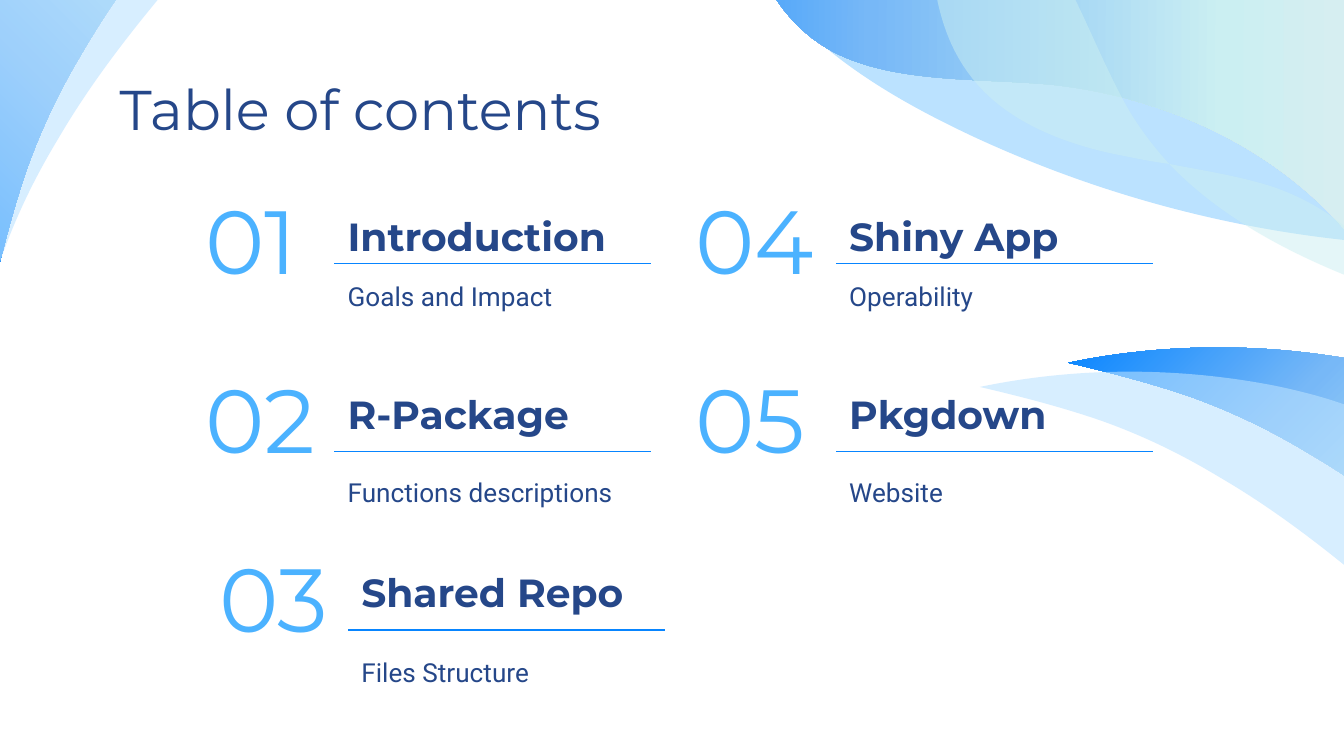
from dataclasses import dataclass
from math import cos, radians, sin

from lxml.etree import SubElement
from pptx import Presentation
from pptx.dml.color import RGBColor
from pptx.enum.shapes import MSO_CONNECTOR
from pptx.enum.text import MSO_ANCHOR
from pptx.oxml.ns import qn
from pptx.shapes.autoshape import Shape
from pptx.slide import Slide
from pptx.util import Cm, Pt

NAVY, SKY, BLUE = "254789", "4BB2FF", "0885FF"
PALE, MINT = "BBE2FF", "CBEFF2"
GRADIENT = ((0, "E5ECEF"), (28, MINT), (66, "77B8F7"), (100, BLUE))
CM_PER_INCH = 2.54


@dataclass(frozen=True)
class Style:
    font: str
    size: int
    color: str
    bold: bool = False


@dataclass(frozen=True)
class Row:
    top: float
    heading_height: float
    number_height: float
    line_top: float
    detail_top: float
    detail_height: float


@dataclass(frozen=True)
class Column:
    number_left: float
    text_left: float
    number_width: float


@dataclass(frozen=True)
class Entry:
    number: str
    heading: str
    detail: str
    column: Column
    row: Row


@dataclass(frozen=True)
class Wave:
    outline: str
    rotation: float = 0
    color: str = ""
    opacity: int = 100
    gradient_angle: int = 225
    turned: float = 0
    shift: tuple[float, float] = (0, 0)


TITLE = Style("Montserrat", 30, NAVY)
NUMBER = Style("Montserrat", 48, SKY)
HEADING = Style("Montserrat", 21, NAVY, True)
DETAIL = Style("Roboto", 14, NAVY)

LEFT, RIGHT = Column(3.63, 6.32, 2.72), Column(12.9, 15.8, 2.9)
INDENTED = Column(3.89, 6.58, 2.72)
FIRST = Row(3.94, 1.02, 1.14, 4.98, 5.13, 0.94)
SECOND = Row(7.14, 1.35, 1.52, 8.53, 8.69, 1.24)
THIRD = Row(10.52, 1.35, 1.52, 11.91, 12.09, 1.24)
TEXT_WIDTH = 5.99

ENTRIES = (
    Entry("01", "Introduction", "Goals and Impact", LEFT, FIRST),
    Entry("04", "Shiny App", "Operability", RIGHT, FIRST),
    Entry("02", "R-Package", "Functions descriptions", LEFT, SECOND),
    Entry("05", "Pkgdown", "Website", RIGHT, SECOND),
    Entry("03", "Shared Repo", "Files Structure", INDENTED, THIRD),
)

CORNER = (
    "M 1.41 -1.7 C 1.29 -1.7 1.17 -1.68 1.06 -1.65 C 0.74 -1.54 0.47 -1.29 0.29 -1 "
    "C 0.11 -0.71 0.01 -0.37 -0.06 -0.03 C -0.2 0.69 -0.2 1.44 -0.05 2.16 "
    "C 0.02 1.86 0.1 1.55 0.2 1.26 C 0.31 0.95 0.45 0.66 0.62 0.38 "
    "C 0.91 -0.12 1.28 -0.57 1.66 -1.01 C 1.79 -1.16 2.14 -1.43 1.86 -1.59 "
    "C 1.73 -1.67 1.57 -1.7 1.41 -1.7"
)
SWEEP = (
    "M 5.23 -1.85 C 5.19 -1.67 5.17 -1.48 5.19 -1.3 C 5.23 -0.76 5.52 -0.25 5.9 0.13 "
    "C 6.28 0.52 6.76 0.79 7.25 1.02 C 8.31 1.51 9.46 1.79 10.63 1.83 "
    "C 10.19 1.6 9.75 1.37 9.33 1.1 C 8.9 0.82 8.51 0.49 8.14 0.14 "
    "C 7.48 -0.5 6.92 -1.23 6.39 -1.97 C 6.2 -2.23 5.92 -2.88 5.56 -2.5 "
    "C 5.4 -2.33 5.29 -2.1 5.23 -1.85"
)
CREST = (
    "M 5.38 -3.26 C 5.5 -2.94 5.53 -2.58 5.52 -2.21 C 5.52 -1.73 5.45 -1.23 5.51 -0.77 "
    "C 5.57 -0.3 5.77 0.15 6.19 0.38 C 6.64 0.62 7.26 0.58 7.82 0.63 "
    "C 8.83 0.74 9.7 1.23 10.2 1.96 C 10.2 1.96 11.03 1.45 11.03 1.45 "
    "C 11.03 1.45 7.35 -4.49 7.35 -4.49"
)
RIBBON = (
    "M 5.43 -2.71 C 5.47 -2.21 5.87 -1.81 6.3 -1.54 C 6.49 -1.42 6.69 -1.32 6.89 -1.2 "
    "C 6.88 -1.38 6.85 -1.56 6.78 -1.73 C 6.58 -2.29 6.02 -2.69 5.43 -2.71 "
    "M 6.89 -1.2 C 6.91 -0.99 6.91 -0.78 6.91 -0.57 C 6.93 -0.18 6.97 0.23 7.21 0.55 "
    "C 7.45 0.88 7.86 1.05 8.26 1.14 C 8.41 1.17 8.55 1.2 8.7 1.22 "
    "C 8.59 1.1 8.49 0.97 8.4 0.82 C 8.11 0.31 7.95 -0.28 7.54 -0.71 "
    "C 7.36 -0.91 7.13 -1.06 6.89 -1.2 "
    "M 8.7 1.22 C 9.14 1.68 9.76 1.97 10.36 2.18 C 10.23 1.79 9.85 1.52 9.47 1.39 "
    "C 9.22 1.31 8.96 1.27 8.7 1.22"
)
WAVES = (
    Wave(CORNER, 90, turned=90, shift=(10.11, 2.75)),
    Wave(CORNER, 90, PALE, 58, turned=90, shift=(9.45, 2.93)),
    Wave(SWEEP, 283.5, PALE),
    Wave(CREST, 328.2, gradient_angle=148),
    Wave(RIBBON, 325.3, MINT, 50),
    Wave(CORNER),
    Wave(CORNER, 0, PALE, 58, shift=(-0.19, 0.66)),
)


def turn(x: float, y: float, degrees: float) -> tuple[float, float]:
    """Rotate a point clockwise about the slide's top left corner."""
    angle = radians(degrees)
    return x * cos(angle) - y * sin(angle), x * sin(angle) + y * cos(angle)


def upright_point(x: float, y: float, wave: Wave) -> tuple[Cm, Cm]:
    """Place an outline point, then undo the rotation of its wave."""
    x, y = turn(x, y, wave.turned)
    x, y = turn(x + wave.shift[0], y + wave.shift[1], -wave.rotation)
    return Cm(x * CM_PER_INCH), Cm(y * CM_PER_INCH)


def hex_color(value: str) -> RGBColor:
    """Return the colour for a hex string."""
    return RGBColor.from_string(value)


def bend(shape: Shape) -> None:
    """Join each three line segments of a freeform into one cubic curve."""
    segments = list(shape._element.spPr.iter(qn("a:lnTo")))
    for first, second, third in zip(segments[::3], segments[1::3], segments[2::3]):
        first.tag = qn("a:cubicBezTo")
        for segment in (second, third):
            first.append(segment[0])
            segment.getparent().remove(segment)


def paint(shape: Shape, wave: Wave) -> None:
    """Fill a wave with its colour or with the shared gradient."""
    if wave.color:
        shape.fill.solid()
        shape.fill.fore_color.rgb = hex_color(wave.color)
        color = shape._element.spPr.find(qn("a:solidFill"))[0]
        SubElement(color, qn("a:alpha"), val=str(wave.opacity * 1000))
        return
    shape.fill.gradient()
    shape.fill.gradient_angle = wave.gradient_angle
    stops = next(shape._element.spPr.iter(qn("a:gsLst")))
    for stop in list(stops):
        stops.remove(stop)
    for position, value in GRADIENT:
        stop = SubElement(stops, qn("a:gs"), pos=str(position * 1000))
        SubElement(stop, qn("a:srgbClr"), val=value)


def add_wave(slide: Slide, wave: Wave) -> None:
    """Draw a wave as a curved freeform turned by its rotation."""
    builder = None
    for contour in wave.outline.split("M")[1:]:
        values = [float(value) for value in contour.replace("C", " ").split()]
        start, *points = [upright_point(x, y, wave) for x, y in zip(values[::2], values[1::2])]
        if builder is None:
            builder = slide.shapes.build_freeform(*start)
        else:
            builder.move_to(*start)
        builder.add_line_segments(points, close=True)
    shape = builder.convert_to_shape()
    bend(shape)
    x, y = turn(shape.left + shape.width / 2, shape.top + shape.height / 2, wave.rotation)
    shape.left, shape.top = int(x - shape.width / 2), int(y - shape.height / 2)
    shape.rotation = wave.rotation
    shape.shadow.inherit = False
    shape.line.fill.background()
    paint(shape, wave)


def add_text(slide: Slide, text: str, left: float, top: float, width: float, height: float, style: Style) -> None:
    """Add a vertically centred line of text."""
    frame = slide.shapes.add_textbox(Cm(left), Cm(top), Cm(width), Cm(height)).text_frame
    frame.word_wrap = True
    frame.vertical_anchor = MSO_ANCHOR.MIDDLE
    frame.margin_left = frame.margin_right = frame.margin_top = frame.margin_bottom = Cm(0.25)
    run = frame.paragraphs[0].add_run()
    run.text = text
    run.font.name, run.font.size, run.font.bold = style.font, Pt(style.size), style.bold
    run.font.color.rgb = hex_color(style.color)


def add_entry(slide: Slide, entry: Entry) -> None:
    """Draw one numbered entry with its rule and detail."""
    column, row = entry.column, entry.row
    left = column.text_left
    add_text(slide, entry.heading, left, row.top, TEXT_WIDTH, row.heading_height, HEADING)
    add_text(slide, entry.number, column.number_left, row.top, column.number_width, row.number_height, NUMBER)
    add_text(slide, entry.detail, left, row.detail_top, TEXT_WIDTH, row.detail_height, DETAIL)
    y = Cm(row.line_top)
    line = slide.shapes.add_connector(MSO_CONNECTOR.STRAIGHT, Cm(left), y, Cm(left + TEXT_WIDTH), y)
    line.line.color.rgb = hex_color(BLUE)
    line.line.width = Pt(0.75)
    SubElement(line._element.spPr, qn("a:effectLst"))


def main() -> None:
    """Build the contents slide."""
    presentation = Presentation()
    presentation.slide_width, presentation.slide_height = Cm(25.4), Cm(14.29)
    slide = presentation.slides.add_slide(presentation.slide_layouts[6])
    for wave in WAVES:
        add_wave(slide, wave)
    add_text(slide, "Table of contents", 2.01, 1.24, 21.41, 1.6, TITLE)
    for entry in ENTRIES:
        add_entry(slide, entry)
    presentation.save("out.pptx")


if __name__ == "__main__":
    main()
